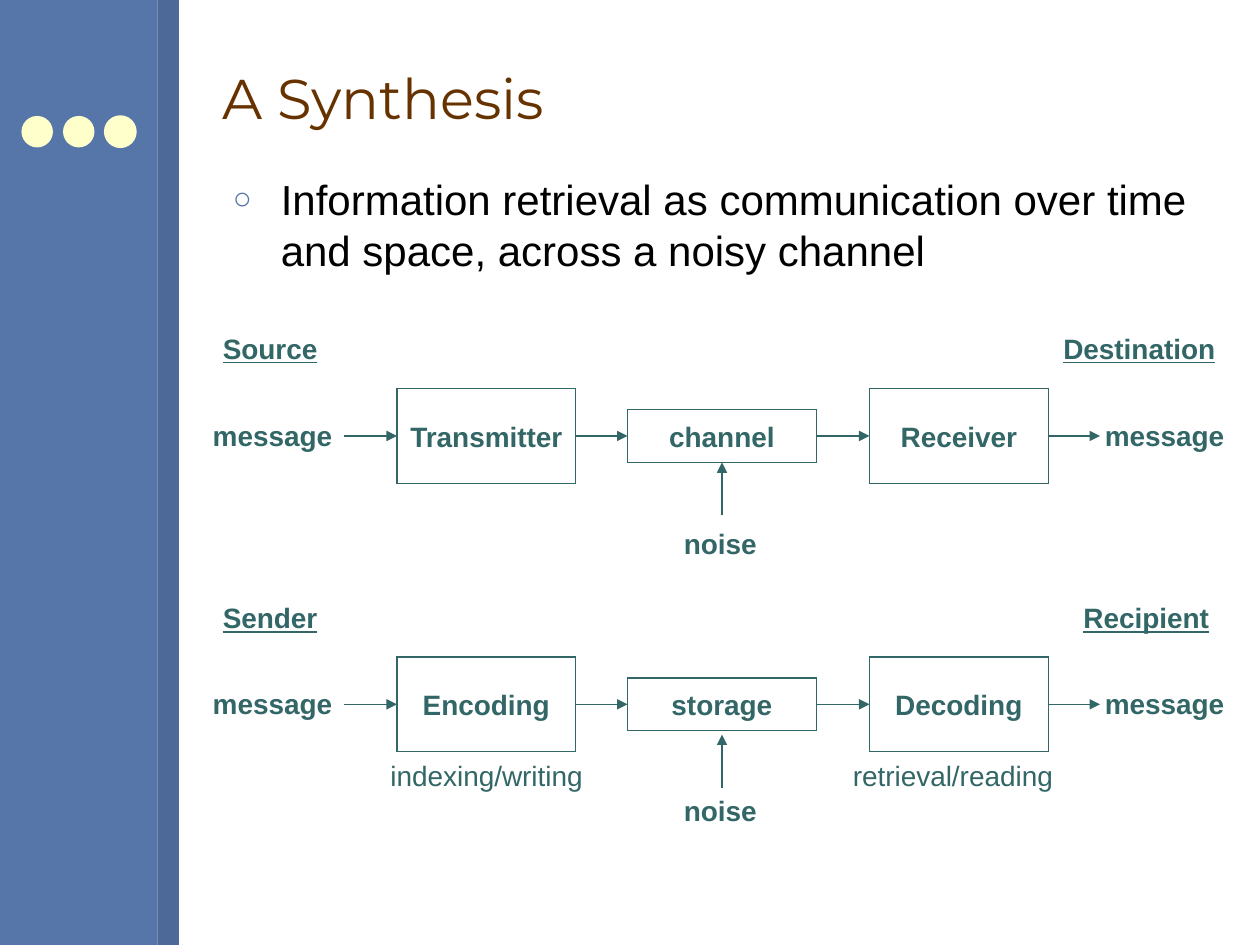
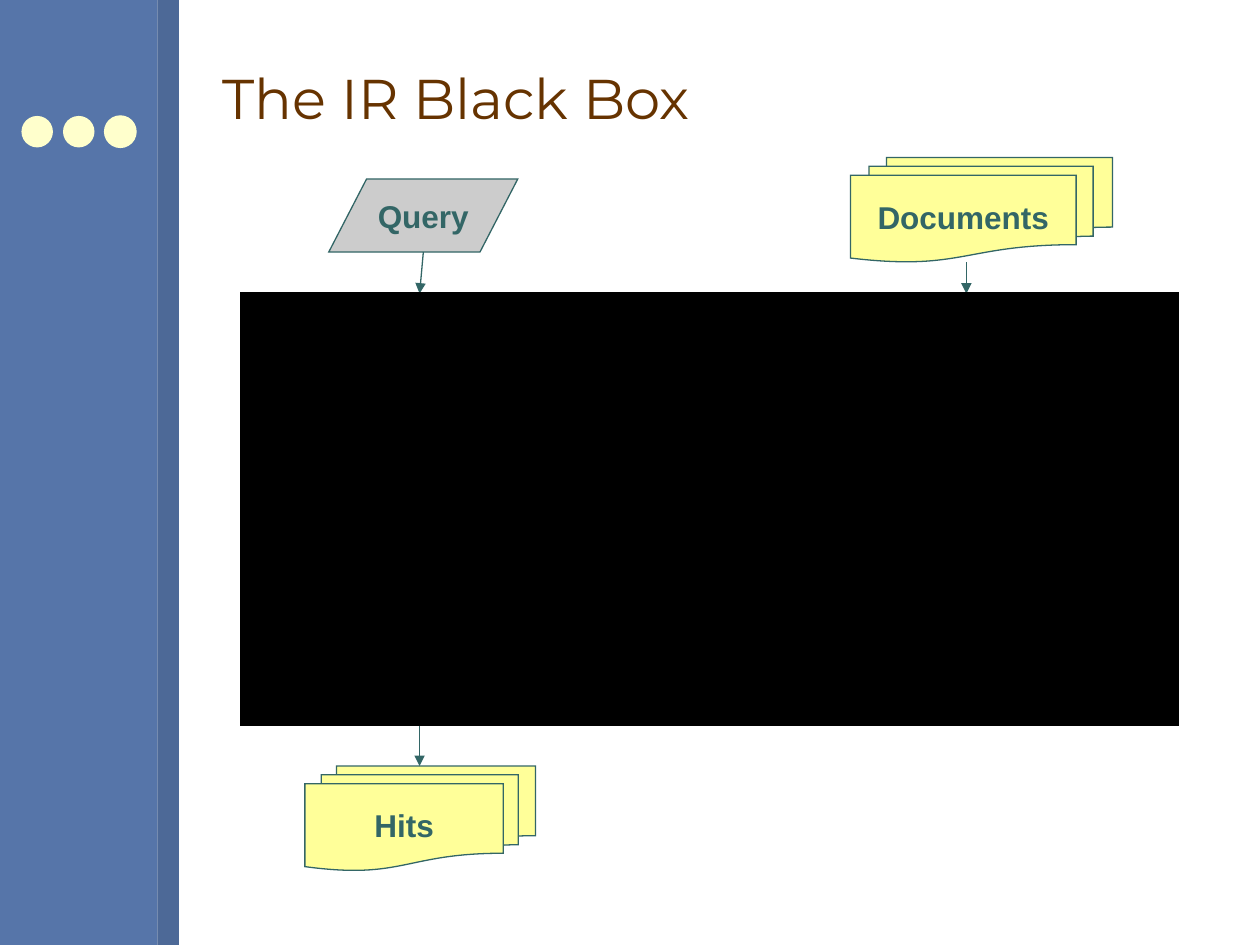
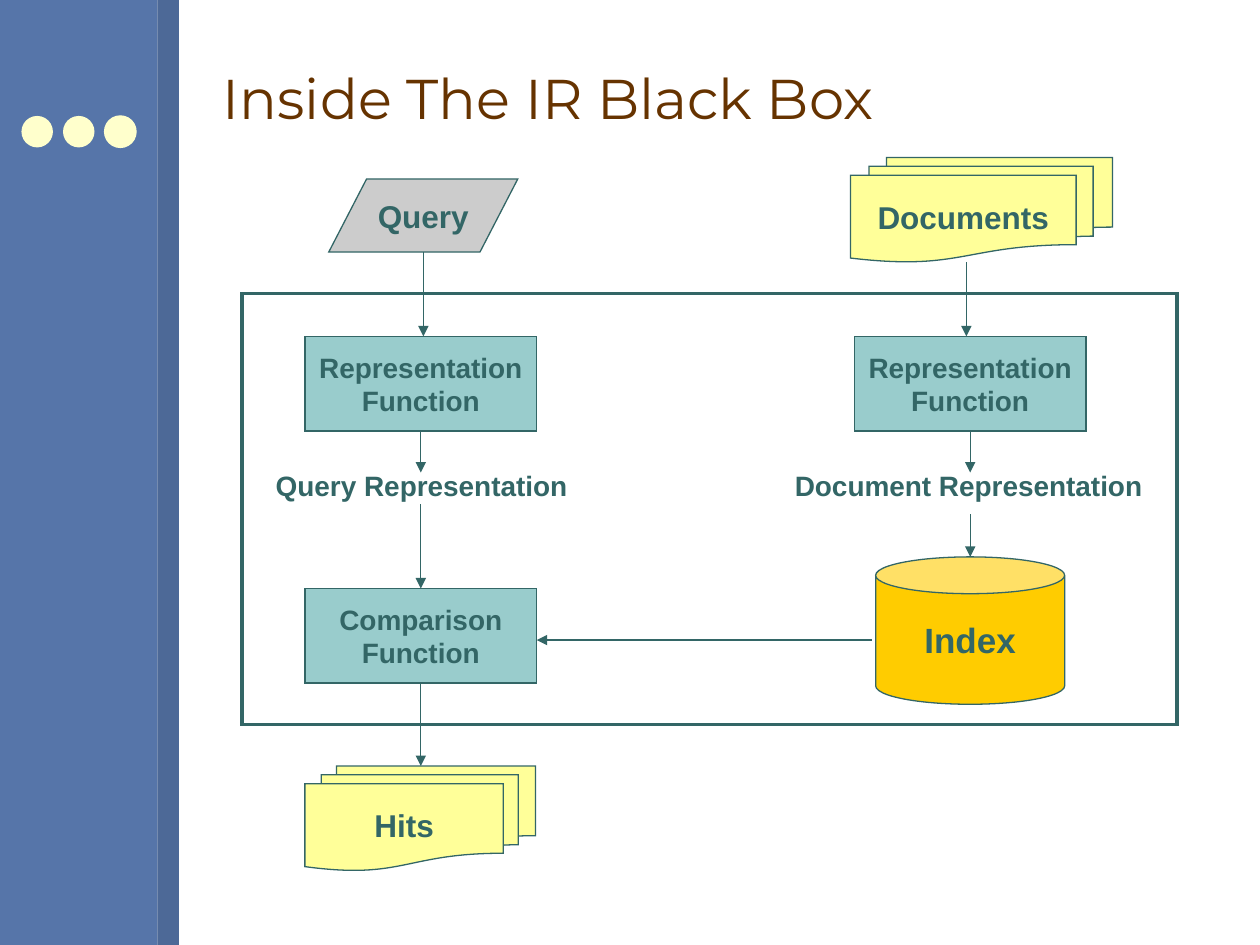
from pptx import Presentation
from pptx.dml.color import RGBColor
from pptx.enum import shapes, text
from pptx.oxml import ns, xmlchemy
from pptx.util import Inches, Pt

BLUE = RGBColor(0x56, 0x75, 0xA9)
DARK_BLUE = RGBColor(0x4D, 0x69, 0x97)
CREAM = RGBColor(0xFF, 0xFF, 0xCC)
BROWN = RGBColor(0x66, 0x33, 0x00)
TEAL = RGBColor(0x33, 0x66, 0x66)
AQUA = RGBColor(0x99, 0xCC, 0xCC)
YELLOW = RGBColor(0xFF, 0xFF, 0x99)
GOLD = RGBColor(0xFF, 0xCC, 0x00)
GRAY = RGBColor(0xCC, 0xCC, 0xCC)
BLACK = RGBColor(0, 0, 0)
KIND = shapes.MSO_SHAPE
TOP, LEFT, BOTTOM, RIGHT = range(4)


def add_xml(parent, tag, **attrs):
    el = xmlchemy.OxmlElement(tag)
    for name, value in attrs.items():
        el.set(name, value)
    parent.append(el)
    return el


class Deck:
    def __init__(self):
        self.prs = Presentation()
        self.prs.slide_width = Inches(10)
        self.prs.slide_height = Inches(7.5)
        self.s = None

    def slide(self, title):
        self.s = self.prs.slides.add_slide(self.prs.slide_layouts[6])
        self.shape(KIND.RECTANGLE, 0, 0, 1.25, 7.5, BLUE, line=None)
        self.shape(KIND.RECTANGLE, 1.25, 0, 0.17, 7.5, DARK_BLUE, line=None)
        for x, line in ((0.17, None), (0.5, None), (0.83, CREAM)):
            self.shape(KIND.OVAL, x, 0.92, 0.25, 0.25, CREAM, line)
        sp = self.label(title, 1.67, 0.21, 8, 1.13, size=32, bold=False,
                        color=BROWN, font="Montserrat", wrap=True)
        sp.text_frame.vertical_anchor = text.MSO_ANCHOR.MIDDLE

    def style(self, p, size, bold, color=TEAL, font="Arial", underline=None):
        p.font.name = font
        p.font.size = Pt(size)
        p.font.bold = bold
        p.font.underline = underline
        p.font.color.rgb = color

    def shape(self, kind, x, y, w, h, fill=None, line=TEAL, weight=0.75,
              words="", size=16):
        sp = self.s.shapes.add_shape(kind, Inches(x), Inches(y), Inches(w), Inches(h))
        sp.shadow.inherit = False
        if fill is None:
            sp.fill.background()
        else:
            sp.fill.solid()
            sp.fill.fore_color.rgb = fill
        if line is None:
            sp.line.fill.background()
        else:
            sp.line.color.rgb = line
            sp.line.width = Pt(weight)
            add_xml(sp.line._get_or_add_ln(), "a:miter", lim="800000")
        if words:
            tf = sp.text_frame
            tf.text = words
            tf.word_wrap = False
            tf.vertical_anchor = text.MSO_ANCHOR.MIDDLE
            for p in tf.paragraphs:
                p.alignment = text.PP_ALIGN.CENTER
                self.style(p, size, True)
        return sp

    def label(self, words, x, y, w, h=0.37, size=16, bold=True, wrap=False, **font):
        sp = self.s.shapes.add_textbox(Inches(x), Inches(y), Inches(w), Inches(h))
        tf = sp.text_frame
        tf.text = words
        tf.word_wrap = wrap
        if not wrap:
            tf.auto_size = text.MSO_AUTO_SIZE.SHAPE_TO_FIT_TEXT
        self.style(tf.paragraphs[0], size, bold, **font)
        return sp

    def bullet(self, words, x, y, w, h):
        sp = self.s.shapes.add_textbox(Inches(x), Inches(y), Inches(w), Inches(h))
        sp.text_frame.word_wrap = True
        p = sp.text_frame.paragraphs[0]
        p.text = words
        pPr = p._p.get_or_add_pPr()
        pPr.set("marL", str(Inches(0.38)))
        pPr.set("indent", str(-Inches(0.38)))
        add_xml(add_xml(pPr, "a:buClr"), "a:srgbClr", val=str(BLUE))
        add_xml(pPr, "a:buSzPct", val="75000")
        add_xml(pPr, "a:buFont", typeface="Arial")
        add_xml(pPr, "a:buChar", char="○")
        self.style(p, 24, False, BLACK)

    def arrow(self, start, end):
        joined = [not isinstance(e[0], (int, float)) for e in (start, end)]
        points = [(0, 0) if j else (Inches(e[0]), Inches(e[1]))
                  for e, j in zip((start, end), joined)]
        cx = self.s.shapes.add_connector(shapes.MSO_CONNECTOR.STRAIGHT,
                                         *points[0], *points[1])
        if joined[0]:
            cx.begin_connect(*start)
        if joined[1]:
            cx.end_connect(*end)
        cx.line.color.rgb = TEAL
        cx.line.width = Pt(0.75)
        add_xml(cx.line._get_or_add_ln(), "a:tailEnd", type="triangle")
        add_xml(cx._element.find(ns.qn("p:spPr")), "a:effectLst")

    def channel_row(self, mid, names, medium_gap, noise_top):
        stages = []
        for words, x, w, h in zip(names, (3.15, 4.98, 6.9), (1.42, 1.5, 1.42),
                                  (0.75, 0.42, 0.75)):
            stages.append(self.shape(KIND.RECTANGLE, x, mid - h / 2, w, h, words=words))
        first, medium, last = stages
        for x in (1.59, 8.67):
            self.label("message", x, mid - 0.19, 1.16)
        self.arrow((2.73, mid), (first, LEFT))
        self.arrow((first, RIGHT), (medium, LEFT))
        self.arrow((medium, RIGHT), (last, LEFT))
        self.arrow((last, RIGHT), (8.73, mid))
        bottom = mid + 0.21 + medium_gap
        target = (5.73, bottom) if medium_gap else (medium, BOTTOM)
        self.arrow((5.73, bottom + 0.42), target)
        self.label("noise", 5.33, noise_top, 0.83)

    def endpoints(self):
        self.shape(KIND.FLOWCHART_MULTIDOCUMENT, 6.75, 1.25, 2.08, 0.83, YELLOW,
                   words="Documents", size=18)
        self.shape(KIND.FLOWCHART_DATA, 2.61, 1.42, 1.5, 0.58, GRAY,
                   words="Query", size=18)
        self.shape(KIND.FLOWCHART_MULTIDOCUMENT, 2.42, 6.08, 1.83, 0.83, YELLOW,
                   words="Hits", size=18)

    def black_box(self, fill, line):
        self.shape(KIND.RECTANGLE, 1.92, 2.33, 7.42, 3.42, fill, line, 2)

    def function(self, name, x, y):
        return self.shape(KIND.RECTANGLE, x, y, 1.84, 0.75, AQUA,
                          words=f"{name}\nFunction")


def synthesis(deck):
    deck.slide("A Synthesis")
    deck.bullet("Information retrieval as communication over time and space, "
                "across a noisy channel", 1.75, 1.33, 7.92, 5.83)
    for words, x, y, w in (("Source", 1.67, 2.58, 0.96),
                           ("Destination", 8.34, 2.58, 1.42),
                           ("Sender", 1.67, 4.72, 0.96),
                           ("Recipient", 8.5, 4.72, 1.21)):
        deck.label(words, x, y, w, underline=True)
    deck.channel_row(3.46, ("Transmitter", "channel", "Receiver"), 0, 4.13)
    deck.channel_row(5.59, ("Encoding", "storage", "Decoding"), 0.03, 6.25)
    deck.label("indexing/writing", 3, 5.97, 1.74, bold=False)
    deck.label("retrieval/reading", 6.67, 5.97, 1.8, bold=False)


def closed_box(deck):
    deck.slide("The IR Black Box")
    deck.endpoints()
    deck.arrow((3.36, 2), (3.33, 2.33))
    deck.arrow((7.67, 2.08), (7.67, 2.33))
    deck.arrow((3.33, 5.75), (3.33, 6.08))
    deck.black_box(BLACK, BLACK)


def open_box(deck):
    deck.slide("Inside The IR Black Box")
    deck.endpoints()
    query_function = deck.function("Representation", 2.42, 2.67)
    document_function = deck.function("Representation", 6.78, 2.67)
    comparison = deck.function("Comparison", 2.42, 4.67)
    deck.label("Query Representation", 2.09, 3.67, 2.54)
    deck.label("Document Representation", 6.21, 3.67, 2.98)
    deck.shape(KIND.CAN, 6.95, 4.42, 1.5, 1.17, GOLD, words="Index", size=20)
    for start, end in (((3.36, 2), (3.36, 2.67)),
                       ((7.67, 2.08), (7.67, 2.67)),
                       ((query_function, BOTTOM), (3.34, 3.75)),
                       ((document_function, BOTTOM), (7.7, 3.75)),
                       ((3.34, 4), (comparison, TOP)),
                       ((7.7, 4.08), (7.7, 4.42)),
                       ((6.92, 5.08), (4.26, 5.08)),
                       ((comparison, BOTTOM), (3.34, 6.08))):
        deck.arrow(start, end)
    deck.black_box(None, TEAL)


def main():
    deck = Deck()
    synthesis(deck)
    closed_box(deck)
    open_box(deck)
    deck.prs.save("out.pptx")


if __name__ == "__main__":
    main()
